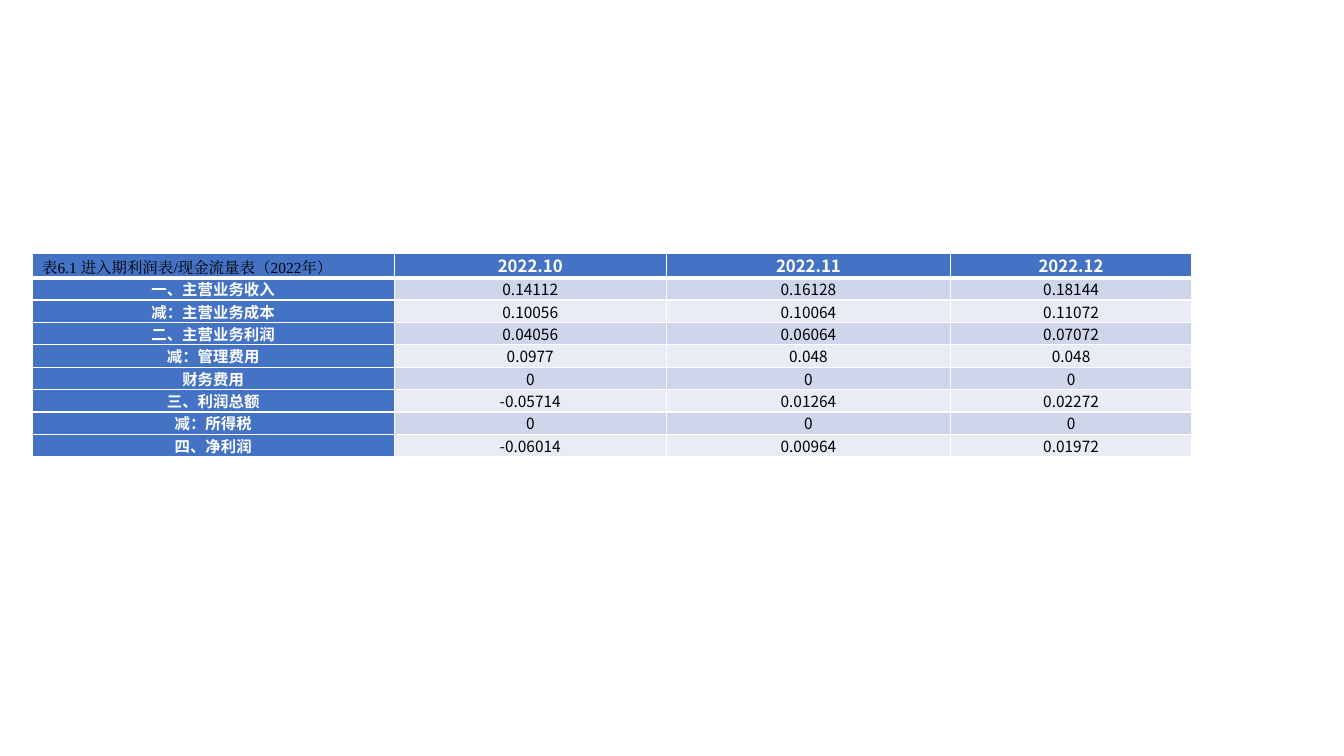
from lxml import etree
from pptx import Presentation
from pptx.dml.color import RGBColor
from pptx.enum.text import MSO_ANCHOR, PP_ALIGN
from pptx.oxml.ns import qn
from pptx.util import Inches, Pt

CENTER, LEFT, TOP = PP_ALIGN.CENTER, PP_ALIGN.LEFT, MSO_ANCHOR.TOP

TITLE = "表6.1 进入期利润表/现金流量表（2022年）"
MONTHS = ["", "2022.10", "2022.11", "2022.12"]
STATEMENT = [
    ["一、主营业务收入", "0.14112", "0.16128", "0.18144"],
    ["减：主营业务成本", "0.10056", "0.10064", "0.11072"],
    ["二、主营业务利润", "0.04056", "0.06064", "0.07072"],
    ["减：管理费用", "0.0977", "0.048", "0.048"],
    ["财务费用", "0", "0", "0"],
    ["三、利润总额", "-0.05714", "0.01264", "0.02272"],
    ["减：所得税", "0", "0", "0"],
    ["四、净利润", "-0.06014", "0.00964", "0.01972"],
]
COLUMN_SHARES = [26.93, 20.25, 21.15, 17.93]
TABLE_LEFT, TABLE_TOP = 2.4, 33.5


def color(value):
    return RGBColor.from_string(value)


class StatementSlide:
    body_font, title_font = "Noto Sans CJK SC", "Times New Roman"
    accent, bands = "4472C4", ("CFD5EA", "E9EBF5")
    light, dark = "FFFFFF", "000000"
    header_size, body_size = 12, 11

    def __init__(self, deck):
        self.width, self.height = deck.slide_width, deck.slide_height
        self.slide = deck.slides.add_slide(deck.slide_layouts[6])

    def across(self, percent):
        return round(self.width * percent / 100)

    def down(self, percent):
        return round(self.height * percent / 100)

    def label(self, frame, text, font, size, ink, bold, align):
        frame.text = text
        paragraph = frame.paragraphs[0]
        paragraph.alignment = align
        for run in paragraph.runs:
            run.font.name, run.font.size = font, Pt(size)
            run.font.bold, run.font.color.rgb = bold, color(ink)
            east_asian = etree.SubElement(run._r.get_or_add_rPr(), qn("a:ea"))
            east_asian.set("typeface", font)
        if not text:
            ending = etree.SubElement(paragraph._p, qn("a:endParaRPr"))
            ending.set("sz", str(size * 100))

    def border(self, cell, row):
        widths = {"L": 1, "R": 1, "T": 3 if row == 1 else 1, "B": 3 if row == 0 else 1}
        properties = cell._tc.get_or_add_tcPr()
        for position, (side, width) in enumerate(widths.items()):
            line = etree.Element(qn(f"a:ln{side}"), w=str(int(Pt(width))))
            fill = etree.SubElement(line, qn("a:solidFill"))
            etree.SubElement(fill, qn("a:srgbClr"), val=self.light)
            properties.insert(position, line)

    def cell(self, cell, text, row, column):
        heading = row == 0 or column == 0
        cell.margin_left = cell.margin_right = Inches(0.07)
        cell.margin_top = cell.margin_bottom = 0
        cell.fill.solid()
        cell.fill.fore_color.rgb = color(self.accent if heading else self.bands[(row - 1) % 2])
        self.border(cell, row)
        self.label(cell.text_frame, text, self.body_font,
                   self.header_size if row == 0 else self.body_size,
                   self.light if heading else self.dark, heading, CENTER)

    def table(self, left, top, shares, rows, header_height, row_height):
        heights = [header_height] + [row_height] * (len(rows) - 1)
        table = self.slide.shapes.add_table(
            len(rows), len(shares), self.across(left), self.down(top),
            self.across(sum(shares)), self.down(sum(heights))).table
        for column, share in zip(table.columns, shares):
            column.width = self.across(share)
        for row, height in zip(table.rows, heights):
            row.height = self.down(height)
        for row, texts in enumerate(rows):
            for column, text in enumerate(texts):
                self.cell(table.cell(row, column), text, row, column)

    def title(self, text, left, top, width, height):
        frame = self.slide.shapes.add_textbox(
            self.across(left), self.down(top), self.across(width), self.down(height)).text_frame
        frame.word_wrap = True
        frame.vertical_anchor = TOP
        self.label(frame, text, self.title_font, self.body_size, self.dark, False, LEFT)


def main():
    deck = Presentation()
    deck.slide_width, deck.slide_height = Inches(13.33), Inches(7.5)
    page = StatementSlide(deck)
    page.table(TABLE_LEFT, TABLE_TOP, COLUMN_SHARES, [MONTHS] + STATEMENT, 2.7, 2.55)
    page.title(TITLE, TABLE_LEFT, TABLE_TOP, 100, 6.67)
    deck.save("out.pptx")


if __name__ == "__main__":
    main()
